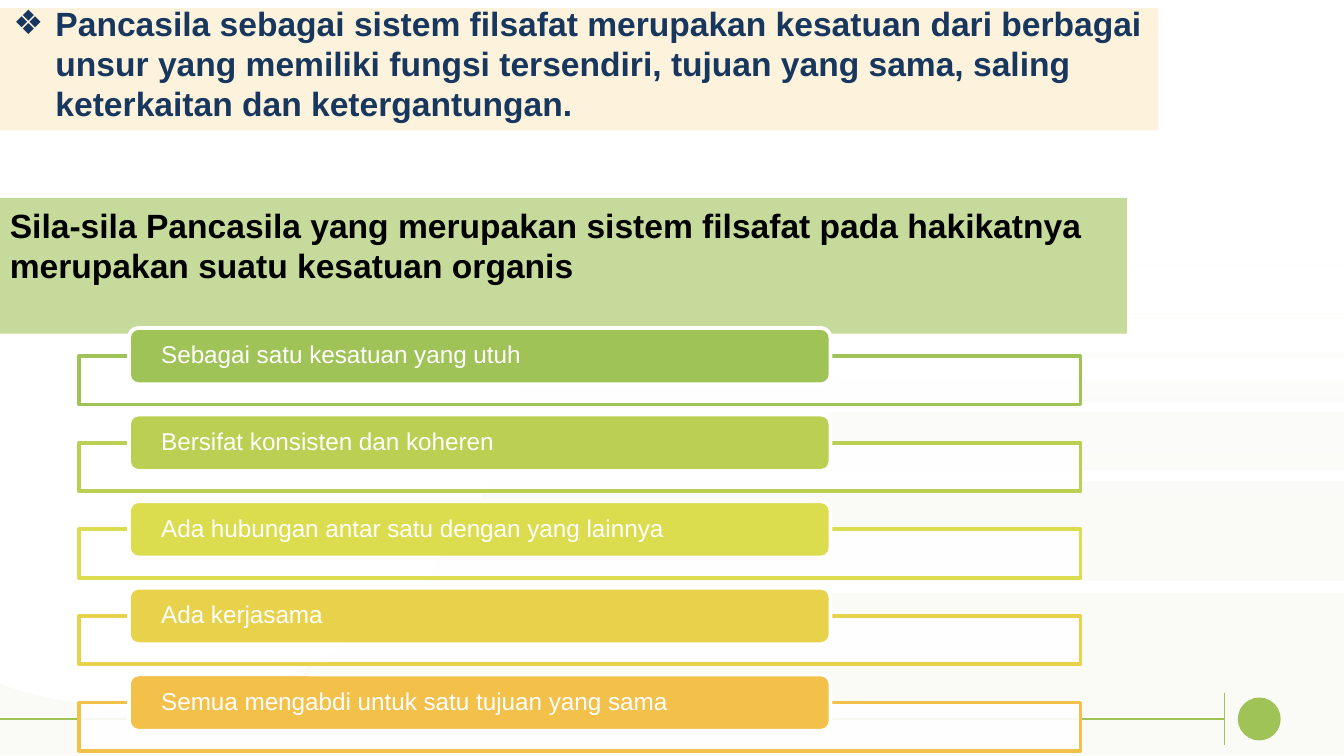
import math

from lxml import etree
from pptx import Presentation
from pptx.dml.color import RGBColor
from pptx.enum.shapes import MSO_CONNECTOR, MSO_SHAPE
from pptx.enum.text import MSO_ANCHOR, MSO_AUTO_SIZE, PP_ALIGN
from pptx.oxml.ns import qn
from pptx.util import Pt

RECTANGLE = MSO_SHAPE.RECTANGLE
ROUNDED = MSO_SHAPE.ROUNDED_RECTANGLE
OVAL = MSO_SHAPE.OVAL
STRAIGHT = MSO_CONNECTOR.STRAIGHT
TOP, MIDDLE, BOTTOM = MSO_ANCHOR.TOP, MSO_ANCHOR.MIDDLE, MSO_ANCHOR.BOTTOM
NO_AUTOFIT = MSO_AUTO_SIZE.NONE
LEFT = PP_ALIGN.LEFT

WHITE = RGBColor(0xFF, 0xFF, 0xFF)
BLACK = RGBColor(0x00, 0x00, 0x00)
NAVY = RGBColor(0x17, 0x37, 0x5E)
CREAM = RGBColor(0xFD, 0xF2, 0xDB)
PALE_GREEN = RGBColor(0xC6, 0xDB, 0x9B)
STRIPE = RGBColor(0xEE, 0xEC, 0xE1)
GREEN = RGBColor(0xA0, 0xC3, 0x58)
LIME = RGBColor(0xBB, 0xD0, 0x53)
YELLOW = RGBColor(0xDB, 0xDD, 0x4F)
GOLD = RGBColor(0xE8, 0xD2, 0x4C)
ORANGE = RGBColor(0xF3, 0xC0, 0x4A)

WIDTH, HEIGHT = 720, 405
HEADING = {"name": "Arial", "size": Pt(18), "bold": True}
LABEL = {"name": "Arial", "size": Pt(13), "bold": False}

STRIPES = [(257.8, 53.3), (167.8, 2.9), (188.6, 2.9), (203.8, 11.5),
           (221, 31), (317.5, 87.2), (141.8, 0.7)]  # top, height
QUALITIES = [
    ("Sebagai satu kesatuan yang utuh", GREEN),
    ("Bersifat konsisten dan koheren", LIME),
    ("Ada hubungan antar satu dengan yang lainnya", YELLOW),
    ("Ada kerjasama", GOLD),
    ("Semua mengabdi untuk satu tujuan yang sama", ORANGE),
]
FIRST_PILL_TOP, ROW_PITCH = 175.7, 46.4


class SlideBuilder:
    def __init__(self, slide):
        self.slide = slide
        self.shapes = slide.shapes

    def set_alpha(self, color_element, percent):
        alpha = etree.SubElement(color_element, qn("a:alpha"))
        alpha.set("val", str(percent * 1000))

    def paint(self, shape, fill, line=None, opacity=100):
        shape.shadow.inherit = False
        shape.fill.solid()
        shape.fill.fore_color.rgb = fill
        if opacity < 100:
            self.set_alpha(shape._element.spPr.find(".//" + qn("a:srgbClr")), opacity)
        if line is None:
            shape.line.fill.background()
        else:
            shape.line.color.rgb = line
            shape.line.width = Pt(2)

    def box(self, kind, bounds, fill, line=None, opacity=100):
        shape = self.shapes.add_shape(kind, *map(Pt, bounds))
        self.paint(shape, fill, line, opacity)
        return shape

    def fade(self, bounds):
        shape = self.box(RECTANGLE, bounds, WHITE)
        shape.fill.gradient()
        shape.fill.gradient_angle = 270
        for stop, position in zip(shape.fill.gradient_stops, (0.25, 0.75)):
            stop.position = position
            stop.color.rgb = WHITE
        colors = shape._element.spPr.findall(".//" + qn("a:srgbClr"))
        self.set_alpha(colors[-1], 0)

    def clipped_disc(self, center_x, center_y, radius):
        start = math.asin(-center_y / radius)
        end = math.acos(-center_x / radius)
        steps = 80
        angles = [start + (end - start) * i / steps for i in range(steps + 1)]
        points = [(Pt(center_x + radius * math.cos(angle)),
                   Pt(center_y + radius * math.sin(angle))) for angle in angles]
        builder = self.shapes.build_freeform(0, 0)
        builder.add_line_segments(points, close=True)
        self.paint(builder.convert_to_shape(), WHITE)

    def rule(self, *ends):
        line = self.shapes.add_connector(STRAIGHT, *map(Pt, ends))
        line.line.color.rgb = GREEN
        line.line.width = Pt(0.75)
        etree.SubElement(line._element.spPr, qn("a:effectLst"))

    def set_text(self, shape, text, style, color, anchor, margins=(7.2, 3.6), spacing=1.0):
        frame = shape.text_frame
        side, edge = map(Pt, margins)
        layout = {"word_wrap": True, "auto_size": NO_AUTOFIT, "vertical_anchor": anchor,
                  "margin_left": side, "margin_right": side,
                  "margin_top": edge, "margin_bottom": edge}
        for name, value in layout.items():
            setattr(frame, name, value)
        paragraph = frame.paragraphs[0]
        paragraph.alignment = LEFT
        paragraph.line_spacing = spacing
        run = paragraph.add_run()
        run.text = text
        for name, value in style.items():
            setattr(run.font, name, value)
        run.font.color.rgb = color
        return paragraph

    def title(self, bounds, text):
        shape = self.shapes.title
        self.shapes._spTree.append(shape._element)  # in front of the backdrop
        shape.left, shape.top, shape.width, shape.height = map(Pt, bounds)
        shape.fill.solid()
        shape.fill.fore_color.rgb = CREAM
        paragraph = self.set_text(shape, text, HEADING, NAVY, BOTTOM)
        properties = paragraph._p.get_or_add_pPr()
        properties.set("marL", str(Pt(22.5)))
        properties.set("indent", str(-Pt(22.5)))
        etree.SubElement(properties, qn("a:buFont")).set("typeface", "Arial")
        etree.SubElement(properties, qn("a:buChar")).set("char", "❖")

    def quality(self, top, text, color):
        self.box(RECTANGLE, (42.5, top + 15.1, 536.4, 25.9), WHITE, color, 90)
        pill = self.box(ROUNDED, (69.1, top, 375.8, 30.2), color, WHITE)
        self.set_text(pill, text, LABEL, WHITE, MIDDLE, (15.8, 0), 0.9)


def main():
    presentation = Presentation()
    presentation.slide_width, presentation.slide_height = Pt(WIDTH), Pt(HEIGHT)
    builder = SlideBuilder(presentation.slides.add_slide(presentation.slide_layouts[5]))

    # Backdrop
    for top, height in STRIPES:
        builder.box(RECTANGLE, (0, top, WIDTH, height), STRIPE, opacity=25)
    builder.fade((0, 0, WIDTH, 386))
    builder.clipped_disc(71.3, 167.8, 211)

    # Footer ornament
    builder.box(OVAL, (663.1, 373.7, 23, 23), GREEN)
    builder.rule(656, 371.5, 656, 398.9)
    builder.rule(0, 385.2, 656, 385.2)

    # Headings
    builder.title((0, 4.3, 620.6, 65.5),
                  "Pancasila sebagai sistem filsafat merupakan kesatuan dari berbagai "
                  "unsur yang memiliki fungsi tersendiri, tujuan yang sama, saling "
                  "keterkaitan dan ketergantungan.")
    banner = builder.box(RECTANGLE, (-1.8, 106, 605.5, 72.7), PALE_GREEN)
    builder.set_text(banner, "Sila-sila Pancasila yang merupakan sistem filsafat pada "
                     "hakikatnya merupakan suatu kesatuan organis", HEADING, BLACK, TOP)

    # List of qualities
    for row, (text, color) in enumerate(QUALITIES):
        builder.quality(FIRST_PILL_TOP + row * ROW_PITCH, text, color)

    presentation.save("out.pptx")


if __name__ == "__main__":
    main()
